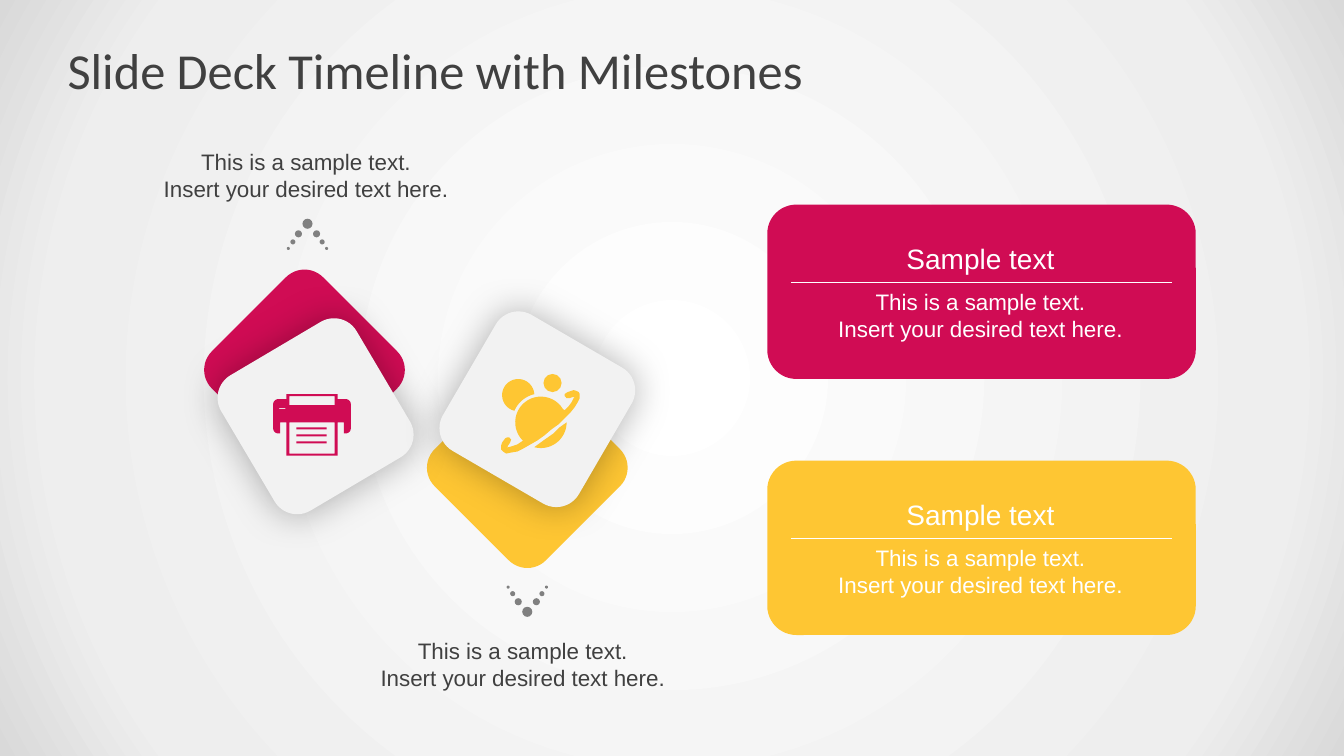
"""Build a slide with two timeline milestones and their description cards."""
from dataclasses import dataclass
from math import cos, radians, sin

from lxml.etree import SubElement
from pptx import Presentation
from pptx.dml.color import RGBColor
from pptx.enum.shapes import MSO_CONNECTOR, MSO_SHAPE
from pptx.enum.text import MSO_ANCHOR, PP_ALIGN
from pptx.oxml import parse_xml
from pptx.oxml.ns import nsdecls, qn
from pptx.shapes.autoshape import Shape
from pptx.slide import Slide
from pptx.util import Inches, Pt

Point = tuple[float, float]
Contour = list[Point]


@dataclass(frozen=True)
class Theme:
    crimson: str = "D00C54"
    amber: str = "FEC633"
    tile: str = "F2F2F2"
    dot: str = "808080"
    ink: str = "404040"
    white: str = "FFFFFF"
    shadow: str = "000000"
    backdrop: tuple[tuple[int, str], ...] = ((0, "FFFFFF"), (81, "EEEEEE"), (100, "D9D9D9"))
    title_font: str = "Calibri"
    body_font: str = "Arial"
    title_size: int = 36
    heading_size: int = 20
    body_size: int = 16


THEME = Theme()
SAMPLE = "This is a sample text.\nInsert your desired text here."
TILE_SIDE = 1.56
DOT_RINGS = ((0.09, 0.1, 0.07), (0.145, 0.18, 0.05), (0.19, 0.245, 0.03))


@dataclass(frozen=True)
class Milestone:
    color: str
    back: Point
    front: Point
    tilt: float
    apex: Point
    spread: int
    caption: Point
    card_top: float


MILESTONES = (
    Milestone(THEME.crimson, (2.24, 2.89), (2.35, 3.35), 59.4, (3.05, 2.22), 1, (1.47, 1.42), 2.03),
    Milestone(THEME.amber, (4.45, 3.86), (4.55, 3.28), 30.2, (5.23, 6.07), -1, (3.62, 6.27), 4.57),
)


def arc(x: float, y: float, radius: float, start: int, end: int, steps: int = 24) -> Contour:
    """Return points along a circular arc, in degrees clockwise from the right."""
    angles = [radians(start + (end - start) * i / steps) for i in range(steps + 1)]
    return [(x + radius * cos(a), y + radius * sin(a)) for a in angles]


def box(left: float, top: float, right: float, bottom: float) -> Contour:
    """Return the corners of a rectangle."""
    return [(left, top), (right, top), (right, bottom), (left, bottom)]


PRINTER = [
    [(2.84, 3.91), (3.35, 3.91), (3.35, 3.96),
     *arc(3.43, 4.01, 0.05, -90, 0), *arc(3.43, 4.25, 0.05, 0, 90),
     (3.41, 4.3), (3.41, 4.19), (3.35, 4.19), (3.35, 4.52),
     (2.84, 4.52), (2.84, 4.19), (2.78, 4.19), (2.78, 4.3),
     *arc(2.76, 4.25, 0.05, 90, 180), *arc(2.76, 4.01, 0.05, 180, 270), (2.84, 3.96)],
    box(2.87, 3.93, 3.32, 4.02),
    box(2.77, 4.05, 2.83, 4.06),
    box(2.87, 4.19, 3.32, 4.5),
    *[box(2.94, 4.24 + 0.07 * row, 3.24, 4.26 + 0.07 * row) for row in range(3)],
]
MOON = arc(5.14, 3.92, 0.16, -4, -256) + arc(5.365, 4.19, 0.287, -157, -103)
RINGED_PLANET = [
    (5.69, 3.87), (5.72, 3.88), (5.74, 3.89), (5.75, 3.91), (5.75, 3.95), (5.73, 3.99),
    (5.7, 4.04), (5.66, 4.09), (5.6, 4.15), (5.54, 4.21), (5.47, 4.26), (5.4, 4.32),
    (5.33, 4.37), (5.26, 4.41), (5.19, 4.45), (5.13, 4.48), (5.07, 4.49), (5.02, 4.5),
    (4.99, 4.48), (4.97, 4.46), (4.97, 4.42), (4.98, 4.39), (5.01, 4.35), (5.03, 4.34),
    (5.05, 4.34), (5.07, 4.36), (5.06, 4.39), (5.04, 4.42), (5.03, 4.44), (5.07, 4.43),
    (5.13, 4.41), (5.19, 4.37), *arc(5.365, 4.19, 0.255, 134, 329), (5.6, 4.07),
    (5.64, 4.03), (5.67, 3.99), (5.69, 3.95), (5.7, 3.94), (5.68, 3.94), (5.65, 3.95),
    (5.62, 3.95), (5.6, 3.93), (5.6, 3.91), (5.63, 3.89), (5.66, 3.88),
]
PLANET_SHADE = arc(5.365, 4.19, 0.255, 0, 105) + [(5.39, 4.37), (5.49, 4.3), (5.55, 4.24)]


def paint(shape: Shape, color: str) -> None:
    """Give a shape a flat fill with neither outline nor shadow."""
    shape.shadow.inherit = False
    shape.fill.solid()
    shape.fill.fore_color.rgb = RGBColor.from_string(color)
    shape.line.fill.background()


def add_solid(slide: Slide, kind: MSO_SHAPE, at: Point, size: Point, color: str) -> Shape:
    """Add a flat preset shape."""
    shape = slide.shapes.add_shape(kind, *map(Inches, (*at, *size)))
    paint(shape, color)
    return shape


def add_tile(slide: Slide, at: Point, tilt: float, color: str) -> Shape:
    """Add a turned square with rounded corners."""
    tile = add_solid(slide, MSO_SHAPE.ROUNDED_RECTANGLE, at, (TILE_SIDE, TILE_SIDE), color)
    tile.rotation = tilt
    return tile


def cast_shadow(shape: Shape) -> None:
    """Put a soft, centred shadow behind a shape."""
    effects = shape.element.spPr.find(qn("a:effectLst"))
    effects.append(parse_xml(
        f'<a:outerShdw {nsdecls("a")} blurRad="{Pt(27)}" dist="0" dir="0" algn="ctr" rotWithShape="0">'
        f'<a:srgbClr val="{THEME.shadow}"><a:alpha val="29000"/></a:srgbClr></a:outerShdw>'))


def add_outline(slide: Slide, contours: list[Contour], color: str) -> None:
    """Add a filled freeform made of closed contours."""
    first, *others = [[(Inches(x), Inches(y)) for x, y in contour] for contour in contours]
    builder = slide.shapes.build_freeform(*first[0])
    builder.add_line_segments(first[1:])
    for contour in others:
        builder.move_to(*contour[0])
        builder.add_line_segments(contour[1:])
    paint(builder.convert_to_shape(), color)


def add_label(slide: Slide, text: str, at: Point, height: float, size: int, color: str) -> None:
    """Add a centred text box."""
    frame = slide.shapes.add_textbox(*map(Inches, (*at, 3.13, height))).text_frame
    frame.word_wrap = True
    frame.text = text
    for paragraph in frame.paragraphs:
        paragraph.alignment = PP_ALIGN.CENTER
        paragraph.font.name = THEME.body_font
        paragraph.font.size = Pt(size)
        paragraph.font.color.rgb = RGBColor.from_string(color)


def add_dots(slide: Slide, apex: Point, spread: int) -> None:
    """Add a dotted arrowhead that widens away from its apex."""
    dots = [(0, 0, 0.1)] + [(side * dx, dy, size) for dx, dy, size in DOT_RINGS for side in (-1, 1)]
    for dx, dy, size in dots:
        corner = (apex[0] + dx - size / 2, apex[1] + spread * dy - size / 2)
        add_solid(slide, MSO_SHAPE.OVAL, corner, (size, size), THEME.dot)


def add_card(slide: Slide, top: float, color: str) -> None:
    """Add a description card with a heading, a rule and a text."""
    add_solid(slide, MSO_SHAPE.ROUNDED_RECTANGLE, (7.61, top), (4.25, 1.73), color)
    add_label(slide, SAMPLE, (8.16, top + 0.78), 0.64, THEME.body_size, THEME.white)
    add_label(slide, "Sample text", (8.16, top + 0.32), 0.44, THEME.heading_size, THEME.white)
    ends = map(Inches, (7.85, top + 0.77, 11.62, top + 0.77))
    rule = slide.shapes.add_connector(MSO_CONNECTOR.STRAIGHT, *ends)
    rule.line.color.rgb = RGBColor.from_string(THEME.white)
    rule.line.width = Pt(0.75)
    SubElement(rule.element.spPr, qn("a:effectLst"))


def set_backdrop(slide: Slide) -> None:
    """Fill the background with a gradient spreading from the centre."""
    slide.background.fill.solid()
    plain = slide.element.find(".//" + qn("p:bgPr")).find(qn("a:solidFill"))
    stops = "".join(f'<a:gs pos="{place * 1000}"><a:srgbClr val="{color}"/></a:gs>'
                    for place, color in THEME.backdrop)
    plain.getparent().replace(plain, parse_xml(
        f'<a:gradFill {nsdecls("a")} rotWithShape="1"><a:gsLst>{stops}</a:gsLst><a:path path="circle">'
        '<a:fillToRect l="50000" t="50000" r="50000" b="50000"/></a:path></a:gradFill>'))


def set_title(slide: Slide, text: str) -> None:
    """Place and format the title."""
    title = slide.shapes.title
    title.left, title.top, title.width, title.height = map(Inches, (0.67, 0.3, 12, 0.78))
    frame = title.text_frame
    frame.text = text
    frame.margin_left = frame.margin_right = 0
    frame.vertical_anchor = MSO_ANCHOR.MIDDLE
    heading = frame.paragraphs[0]
    heading.alignment = PP_ALIGN.LEFT
    heading.font.name = THEME.title_font
    heading.font.size = Pt(THEME.title_size)
    heading.font.color.rgb = RGBColor.from_string(THEME.ink)


def main() -> None:
    """Build and save the presentation."""
    deck = Presentation()
    deck.slide_width, deck.slide_height = Inches(13.33), Inches(7.5)
    slide = deck.slides.add_slide(deck.slide_layouts[5])
    set_backdrop(slide)
    set_title(slide, "Slide Deck Timeline with Milestones")
    for milestone in MILESTONES:
        add_tile(slide, milestone.back, 45, milestone.color)
    for milestone in MILESTONES:
        cast_shadow(add_tile(slide, milestone.front, milestone.tilt, THEME.tile))
    add_outline(slide, PRINTER, THEME.crimson)
    for contour in (MOON, RINGED_PLANET, PLANET_SHADE):
        add_outline(slide, [contour], THEME.amber)
    add_solid(slide, MSO_SHAPE.OVAL, (5.39, 3.71), (0.18, 0.18), THEME.amber)
    for milestone in MILESTONES:
        add_dots(slide, milestone.apex, milestone.spread)
        add_label(slide, SAMPLE, milestone.caption, 0.64, THEME.body_size, THEME.ink)
        add_card(slide, milestone.card_top, milestone.color)
    deck.save("out.pptx")


if __name__ == "__main__":
    main()
